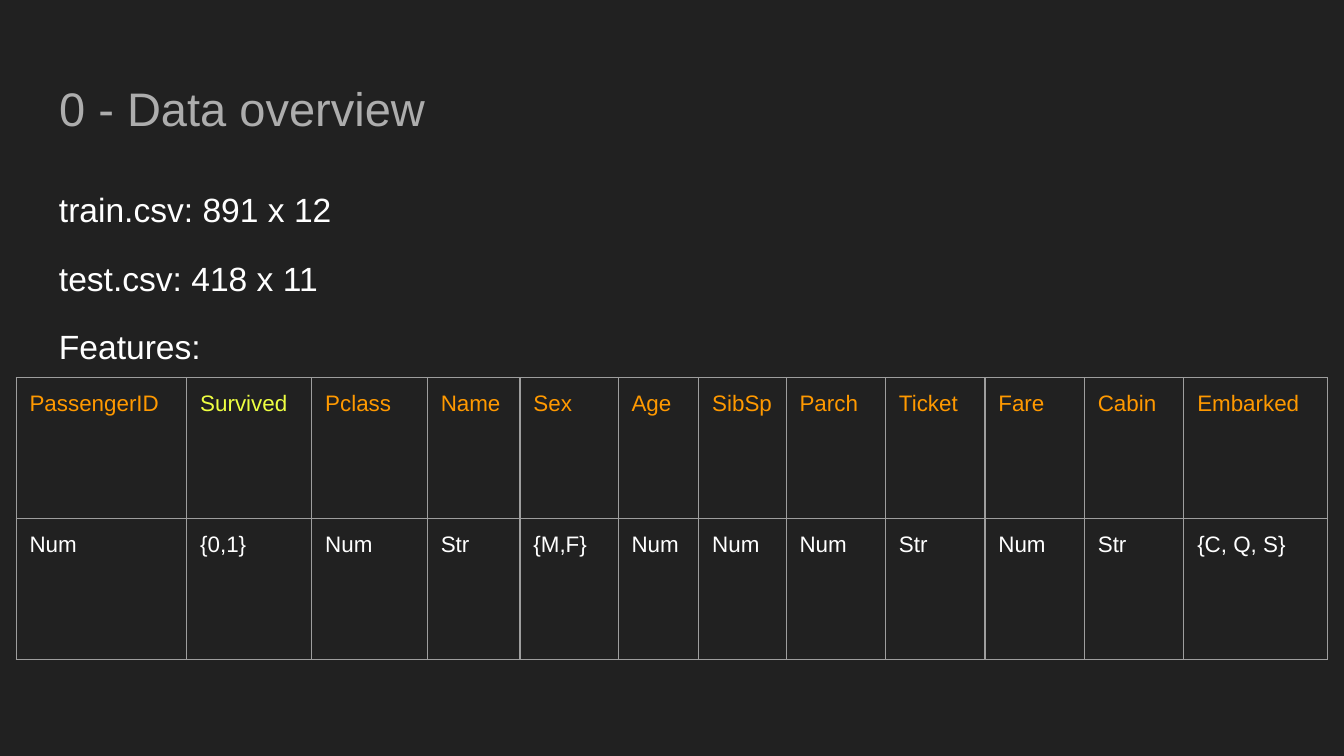
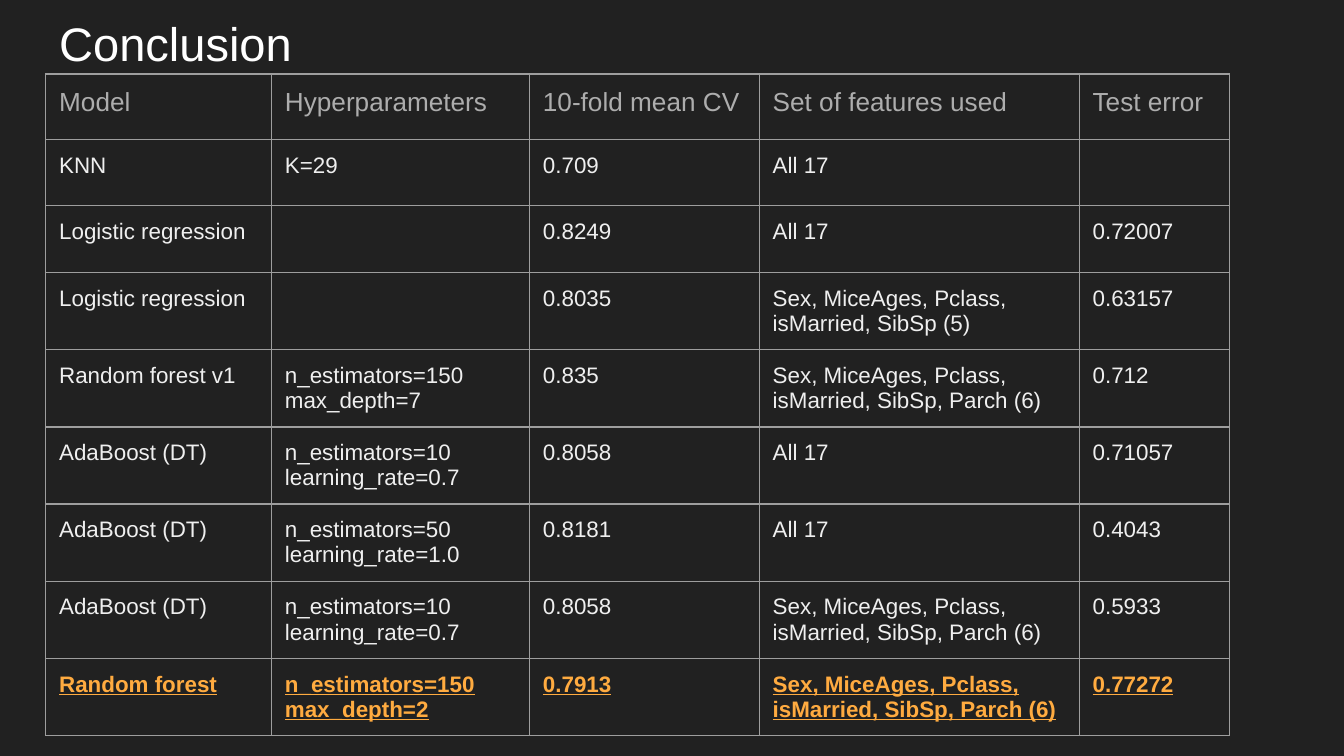
from lxml import etree
from pptx import Presentation
from pptx.dml.color import RGBColor
from pptx.enum.text import MSO_ANCHOR, MSO_AUTO_SIZE, PP_ALIGN
from pptx.oxml.ns import qn
from pptx.util import Inches, Pt

LEFT = PP_ALIGN.LEFT
TOP = MSO_ANCHOR.TOP
MIDDLE = MSO_ANCHOR.MIDDLE
NO_AUTOFIT = MSO_AUTO_SIZE.NONE

FONT = "Arial"
COLORS = {
    "background": "212121",
    "muted": "ADADAD",
    "white": "FFFFFF",
    "pale": "EFEFEF",
    "border": "9E9E9E",
    "feature": "FF9900",
    "target": "EEFF41",
    "best": "FFAB40",
}
INSET = 0.1
MARGIN = 0.34
CONTENT_WIDTH = 9.32
TITLE_HEIGHT = 0.63

FILES_TEXT = ["train.csv: 891 x 12", "test.csv: 418 x 11", "Features:"]
FEATURES = [
    ("PassengerID", "Num", 1.27),
    ("Survived", "{0,1}", 0.93),
    ("Pclass", "Num", 0.86),
    ("Name", "Str", 0.69),
    ("Sex", "{M,F}", 0.73),
    ("Age", "Num", 0.6),
    ("SibSp", "Num", 0.65),
    ("Parch", "Num", 0.74),
    ("Ticket", "Str", 0.74),
    ("Fare", "Num", 0.74),
    ("Cabin", "Str", 0.74),
    ("Embarked", "{C, Q, S}", 1.07),
]

FIVE_FEATURES = "Sex, MiceAges, Pclass, isMarried, SibSp (5)"
SIX_FEATURES = "Sex, MiceAges, Pclass, isMarried, SibSp, Parch (6)"
RESULTS = [
    ["Model", "Hyperparameters", "10-fold mean CV", "Set of features used", "Test error"],
    ["KNN", "K=29", "0.709", "All 17", ""],
    ["Logistic regression", "", "0.8249", "All 17", "0.72007"],
    ["Logistic regression", "", "0.8035", FIVE_FEATURES, "0.63157"],
    ["Random forest v1", "n_estimators=150\nmax_depth=7", "0.835", SIX_FEATURES, "0.712"],
    ["AdaBoost (DT)", "n_estimators=10\nlearning_rate=0.7", "0.8058", "All 17", "0.71057"],
    ["AdaBoost (DT)", "n_estimators=50\nlearning_rate=1.0", "0.8181", "All 17", "0.4043"],
    ["AdaBoost (DT)", "n_estimators=10\nlearning_rate=0.7", "0.8058", SIX_FEATURES, "0.5933"],
    ["Random forest", "n_estimators=150\nmax_depth=2", "0.7913", SIX_FEATURES, "0.77272"],
]
RESULT_WIDTHS = [1.68, 1.92, 1.71, 2.38, 1.12]
RESULT_HEIGHTS = [0.49, 0.49, 0.5] + [0.57] * 6


def set_insets(target):
    for side in ("left", "top", "right", "bottom"):
        setattr(target, f"margin_{side}", Inches(INSET))


def write_text(frame, lines, size, color, line_format=None, **font_format):
    values = {"name": FONT, "size": Pt(size), **font_format}
    for index, line in enumerate(lines):
        para = frame.paragraphs[0] if index == 0 else frame.add_paragraph()
        para.alignment = LEFT
        for name, value in (line_format or {}).items():
            setattr(para, name, value)
        if index == 0:
            para.space_before = Pt(0)
        span = para.add_run()
        span.text = line
        for name, value in values.items():
            setattr(span.font, name, value)
        span.font.color.rgb = RGBColor.from_string(COLORS[color])


def format_frame(frame, anchor):
    set_insets(frame)
    values = {"word_wrap": True, "auto_size": NO_AUTOFIT, "vertical_anchor": anchor}
    for name, value in values.items():
        setattr(frame, name, value)


def add_page(deck, title, top, color):
    page = deck.slides.add_slide(deck.slide_layouts[5])
    box = page.shapes.title
    place = {"left": MARGIN, "top": top, "width": CONTENT_WIDTH, "height": TITLE_HEIGHT}
    for name, value in place.items():
        setattr(box, name, Inches(value))
    format_frame(box.text_frame, MIDDLE)
    write_text(box.text_frame, [title], 25.2, color)
    return page


def add_body(page, left, top, width, height, lines):
    box = page.shapes.add_textbox(*map(Inches, (left, top, width, height)))
    format_frame(box.text_frame, TOP)
    spacing = {"line_spacing": 1.15, "space_before": Pt(12)}
    write_text(box.text_frame, lines, 18, "white", spacing)


def add_borders(cell):
    properties = cell._tc.get_or_add_tcPr()
    for index, side in enumerate(("lnL", "lnR", "lnT", "lnB")):
        line = etree.Element(qn(f"a:{side}"), w=str(Pt(0.75)))
        fill = etree.SubElement(line, qn("a:solidFill"))
        etree.SubElement(fill, qn("a:srgbClr"), val=COLORS["border"])
        properties.insert(index, line)


def size_empty_cell(cell, size):
    para = cell.text_frame.paragraphs[0]
    etree.SubElement(para._p, qn("a:endParaRPr"), sz=str(size * 100))


def add_grid(page, left, top, widths, heights, rows, cell_format):
    place = map(Inches, (left, top, sum(widths), sum(heights)))
    table = page.shapes.add_table(len(rows), len(widths), *place).table
    table.first_row = False
    table.horz_banding = False
    for column, width in zip(table.columns, widths):
        column.width = Inches(width)
    for row, height in zip(table.rows, heights):
        row.height = Inches(height)
    for row_index, texts in enumerate(rows):
        for column_index, text in enumerate(texts):
            cell = table.cell(row_index, column_index)
            set_insets(cell)
            cell.vertical_anchor = TOP
            cell.fill.background()
            add_borders(cell)
            style = cell_format(row_index, column_index)
            if text:
                write_text(cell.text_frame, text.split("\n"), **style)
            else:
                size_empty_cell(cell, style["size"])


def feature_format(row, column):
    if row:
        return {"size": 12, "color": "white"}
    return {"size": 12, "color": "target" if column == 1 else "feature"}


def result_format(row, column):
    if row == 0:
        return {"size": 14, "color": "muted"}
    if row == len(RESULTS) - 1:
        return {"size": 12, "color": "best", "bold": True, "underline": True}
    return {"size": 12, "color": "pale"}


def build_overview(deck):
    page = add_page(deck, "0 - Data overview", 0.49, "muted")
    add_body(page, MARGIN, 1.26, CONTENT_WIDTH, 3.74, FILES_TEXT)
    names, kinds, widths = zip(*FEATURES)
    add_grid(page, 0.12, 2.81, widths, [1.05] * 2, [names, kinds], feature_format)


def build_conclusion(deck):
    page = add_page(deck, "Conclusion", 0, "white")
    add_grid(page, MARGIN, 0.55, RESULT_WIDTHS, RESULT_HEIGHTS, RESULTS, result_format)


def main():
    deck = Presentation()
    deck.slide_width = Inches(10)
    deck.slide_height = deck.slide_width * 9 // 16
    fill = deck.slide_master.background.fill
    fill.solid()
    fill.fore_color.rgb = RGBColor.from_string(COLORS["background"])
    build_overview(deck)
    build_conclusion(deck)
    deck.save("out.pptx")


if __name__ == "__main__":
    main()
